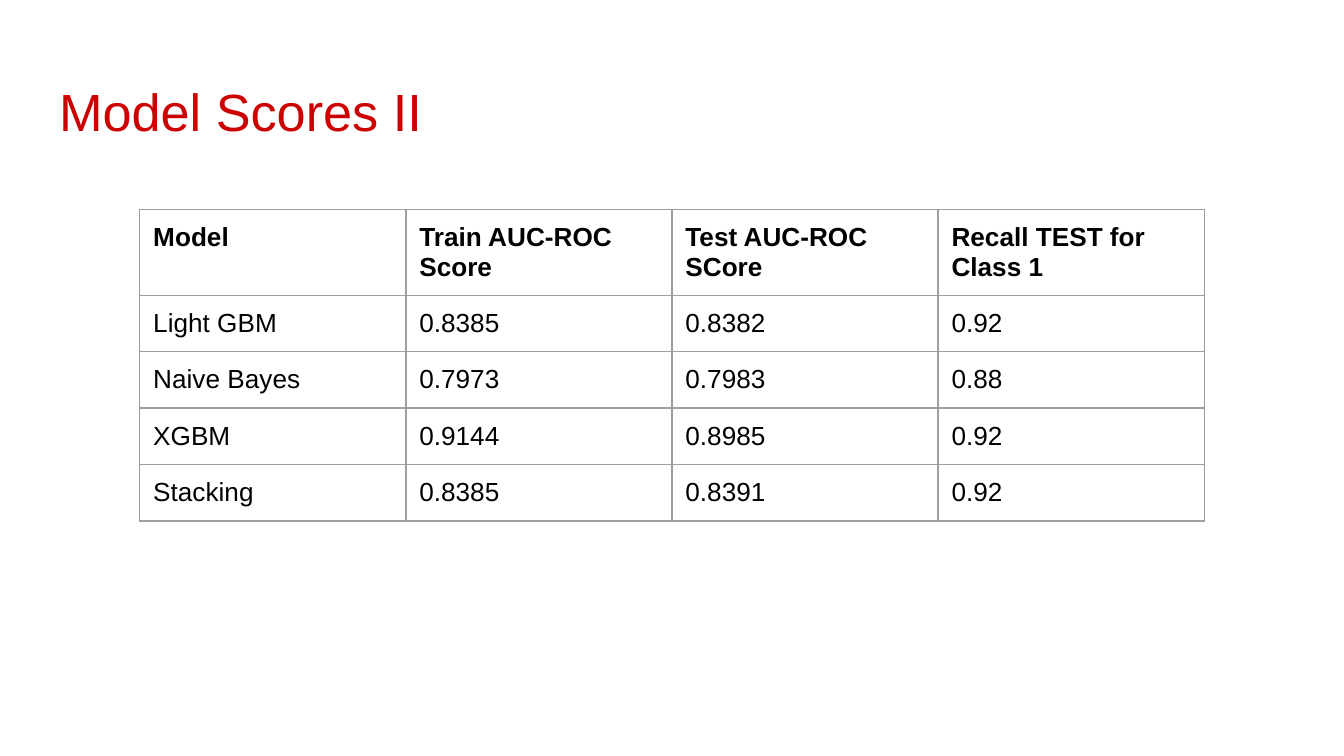
from dataclasses import dataclass

from lxml import etree
from pptx import Presentation
from pptx.dml.color import RGBColor
from pptx.enum.text import MSO_ANCHOR, PP_ALIGN
from pptx.oxml.ns import qn
from pptx.util import Inches, Pt

TOP = MSO_ANCHOR.TOP
LEFT = PP_ALIGN.LEFT
TITLE_ONLY = 5
BORDER_SIDES = ("a:lnL", "a:lnR", "a:lnT", "a:lnB")


@dataclass(frozen=True)
class Theme:
    font: str = "Arial"
    title_size: float = 28
    cell_size: float = 14
    title: str = "CC0000"
    text: str = "000000"
    background: str = "FFFFFF"
    border: str = "9E9E9E"
    border_width: float = 0.75
    inset: float = 0.1


@dataclass(frozen=True)
class ModelScore:
    model: str
    train_auc: str
    test_auc: str
    recall: str

    def values(self) -> tuple[str, ...]:
        return self.model, self.train_auc, self.test_auc, self.recall


THEME = Theme()
HEADERS = ("Model", "Train AUC-ROC Score", "Test AUC-ROC SCore",
           "Recall TEST for Class 1")
SCORES = (
    ModelScore("Light GBM", "0.8385", "0.8382", "0.92"),
    ModelScore("Naive Bayes", "0.7973", "0.7983", "0.88"),
    ModelScore("XGBM", "0.9144", "0.8985", "0.92"),
    ModelScore("Stacking", "0.8385", "0.8391", "0.92"),
)
COL_WIDTH, ROW_HEIGHT = 1.98, 0.42


def set_margins(target) -> None:
    for side in ("left", "right", "top", "bottom"):
        setattr(target, f"margin_{side}", Inches(THEME.inset))
    target.vertical_anchor = TOP


def write(tf, text: str, size: float, color: str, bold: bool = False) -> None:
    p = tf.paragraphs[0]
    p.alignment = LEFT
    r = p.add_run()
    r.text = text
    for name, value in {"name": THEME.font, "size": Pt(size), "bold": bold}.items():
        setattr(r.font, name, value)
    r.font.color.rgb = RGBColor.from_string(color)


def add_borders(cell) -> None:
    """Put the four lines ahead of the cell's fill, as the schema requires."""
    tc_pr = cell._tc.get_or_add_tcPr()
    for i, side in enumerate(BORDER_SIDES):
        ln = etree.Element(qn(side), w=str(Pt(THEME.border_width)))
        fill = etree.SubElement(ln, qn("a:solidFill"))
        etree.SubElement(fill, qn("a:srgbClr"), val=THEME.border)
        tc_pr.insert(i, ln)


def add_title(s, text: str) -> None:
    sp = s.shapes.title
    sp.left, sp.top, sp.width, sp.height = map(Inches, (0.34, 0.49, 9.32, 0.63))
    set_margins(sp.text_frame)
    write(sp.text_frame, text, THEME.title_size, THEME.title)


def add_score_table(s, left: float, top: float) -> None:
    rows = [HEADERS, *(score.values() for score in SCORES)]
    table = s.shapes.add_table(
        len(rows), len(HEADERS), Inches(left), Inches(top),
        Inches(COL_WIDTH * len(HEADERS)), Inches(ROW_HEIGHT * len(rows))).table
    table.horz_banding = False
    for i, row in enumerate(rows):
        for j, text in enumerate(row):
            cell = table.cell(i, j)
            set_margins(cell)
            cell.fill.background()
            add_borders(cell)
            write(cell.text_frame, text, THEME.cell_size, THEME.text, bold=i == 0)


def main() -> None:
    prs = Presentation()
    prs.slide_width = Inches(10)
    prs.slide_height = prs.slide_width * 9 // 16
    s = prs.slides.add_slide(prs.slide_layouts[TITLE_ONLY])
    s.background.fill.solid()
    s.background.fill.fore_color.rgb = RGBColor.from_string(THEME.background)
    add_title(s, "Model Scores II")
    add_score_table(s, 1.04, 1.56)
    prs.save("out.pptx")


if __name__ == "__main__":
    main()
